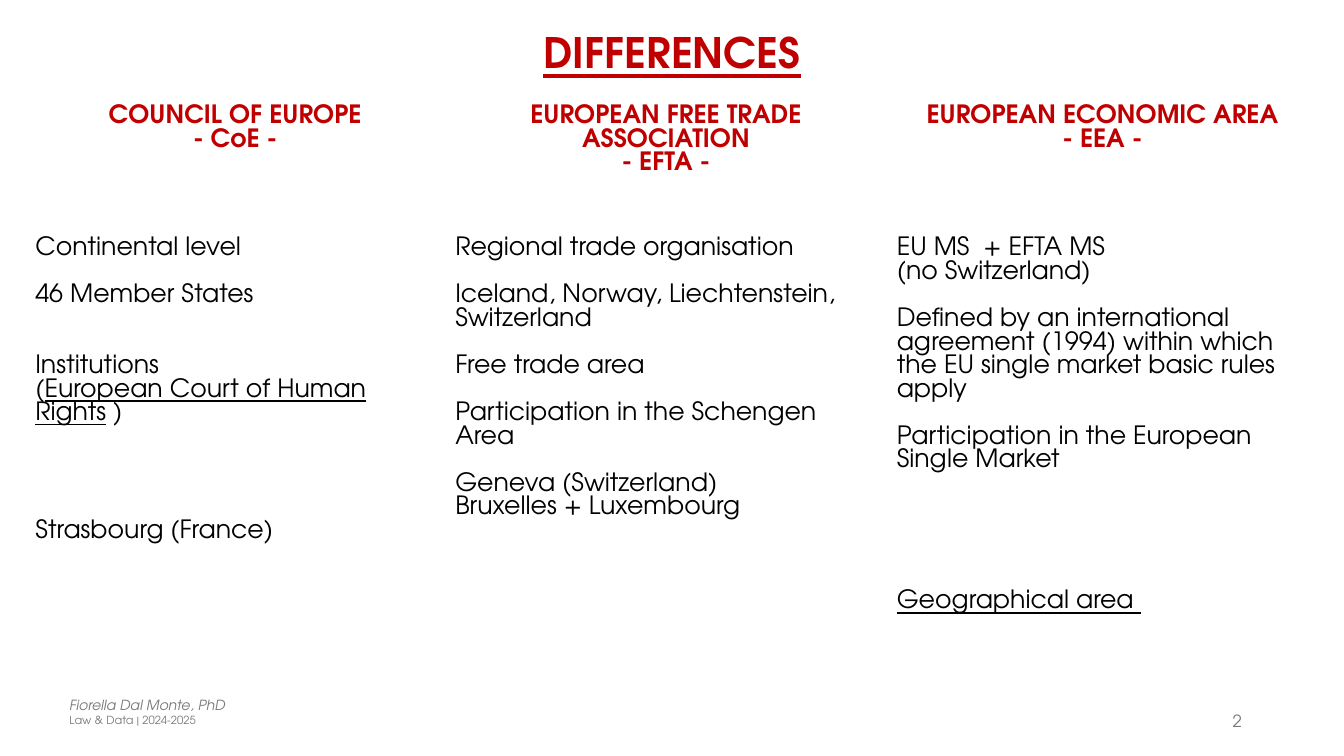
from pptx import Presentation
from pptx.util import Pt
from pptx.dml.color import RGBColor
from pptx.enum.text import MSO_ANCHOR, MSO_AUTO_SIZE, PP_ALIGN

RED = RGBColor(0xC0, 0x00, 0x00)
BLACK = RGBColor(0x00, 0x00, 0x00)
GREY = RGBColor(0x79, 0x79, 0x79)
WHITE = RGBColor(0xFF, 0xFF, 0xFF)
LEFT, MID, RIGHT = PP_ALIGN.LEFT, PP_ALIGN.CENTER, PP_ALIGN.RIGHT
TOP, CENTRE = MSO_ANCHOR.TOP, MSO_ANCHOR.MIDDLE
FIXED = MSO_AUTO_SIZE.NONE

FACE = "TeX Gyre Adventor"
LINE = 16.8  # line pitch inside the table
HEAD = {"size": Pt(18), "bold": True}
BODY = {"size": Pt(18), "bold": False}

WIDTHS = (300, 315.4, 308.2)
HEIGHTS = (94.6, 351.8)

# Each body line: blank lines above it, text, underlined text, closing text
COLUMNS = [
    (["COUNCIL OF EUROPE", "- CoE -"],
     [(0, "Continental level"),
      (1, "46 Member States"),
      (2, "Institutions"),
      (0, "(", "European Court of Human Rights", " )"),
      (4, "Strasbourg (France)")]),
    (["EUROPEAN FREE TRADE ASSOCIATION", "- EFTA -"],
     [(0, "Regional trade organisation"),
      (1, "Iceland, Norway, Liechtenstein, Switzerland"),
      (1, "Free trade area"),
      (1, "Participation in the Schengen Area"),
      (1, "Geneva (Switzerland)"),
      (0, "Bruxelles + Luxembourg")]),
    (["EUROPEAN ECONOMIC AREA", "- EEA -"],
     [(0, "EU MS  + EFTA MS"),
      (0, "(no Switzerland)"),
      (1, "Defined by an international agreement (1994) within which "
          "the EU single market basic rules apply"),
      (1, "Participation in the European Single Market"),
      (5, "", "Geographical area ")]),
]


def add_run(para, text, color, form):
    run = para.add_run()
    run.text = text
    run.font.name = FACE
    run.font.color.rgb = color
    for key, value in form.items():
        setattr(run.font, key, value)


def next_para(frame, index, align):
    para = frame.add_paragraph() if index else frame.paragraphs[0]
    para.alignment = align
    return para


def set_box(shape, box):
    for key, value in zip(("left", "top", "width", "height"), box):
        setattr(shape, key, Pt(value))


def add_title(slide, box):
    title = slide.shapes.title
    set_box(title, box)
    frame = title.text_frame
    frame.auto_size = FIXED
    frame.vertical_anchor = TOP
    para = next_para(frame, 0, MID)
    add_run(para, "DIFFERENCES", RED,
            {"size": Pt(30), "bold": True, "underline": True})


def fill_head(cell, lines):
    for index, text in enumerate(lines):
        para = next_para(cell.text_frame, index, MID)
        para.line_spacing = Pt(LINE)
        add_run(para, text, RED, HEAD)


def fill_body(cell, lines):
    for index, (gap, *parts) in enumerate(lines):
        para = next_para(cell.text_frame, index, LEFT)
        para.line_spacing = Pt(LINE)
        para.space_before = Pt(gap * LINE)
        for place, text in enumerate(parts):
            if text:
                add_run(para, text, BLACK, {**BODY, "underline": place == 1})


def add_grid(slide, box):
    grid = slide.shapes.add_table(
        len(HEIGHTS), len(WIDTHS), *map(Pt, box)).table
    for row, height in zip(grid.rows, HEIGHTS):
        row.height = Pt(height)
    for index, (head, body) in enumerate(COLUMNS):
        grid.columns[index].width = Pt(WIDTHS[index])
        fill_head(grid.cell(0, index), head)
        fill_body(grid.cell(1, index), body)
    for cell in grid.iter_cells():
        cell.fill.solid()
        cell.fill.fore_color.rgb = WHITE


def add_note(slide, box, align, lines):
    frame = slide.shapes.add_textbox(*map(Pt, box)).text_frame
    frame.word_wrap = True
    frame.vertical_anchor = CENTRE
    for index, (text, form) in enumerate(lines):
        add_run(next_para(frame, index, align), text, GREY, form)


def add_foot(slide, box):
    left, top, width, height = box
    # Author and course, indented from the left edge
    add_note(slide, (left + 42.5, top, 400, height), LEFT,
             [("Fiorella Dal Monte, PhD", {"size": Pt(10), "italic": True}),
              ("Law & Data | 2024-2025", {"size": Pt(8)})])
    # Page number
    add_note(slide, (left + width - 281.8, top + 16.4, 216, 28.8), RIGHT,
             [("2", {"size": Pt(12)})])


def main():
    deck = Presentation()
    deck.slide_width, deck.slide_height = Pt(960), Pt(540)
    slide = deck.slides.add_slide(deck.slide_layouts[5])
    add_title(slide, (0, 15, 960, 74))
    add_grid(slide, (18, 71.3, sum(WIDTHS), sum(HEIGHTS)))
    add_foot(slide, (0, 484, 960, 49))
    deck.save("out.pptx")


if __name__ == "__main__":
    main()
